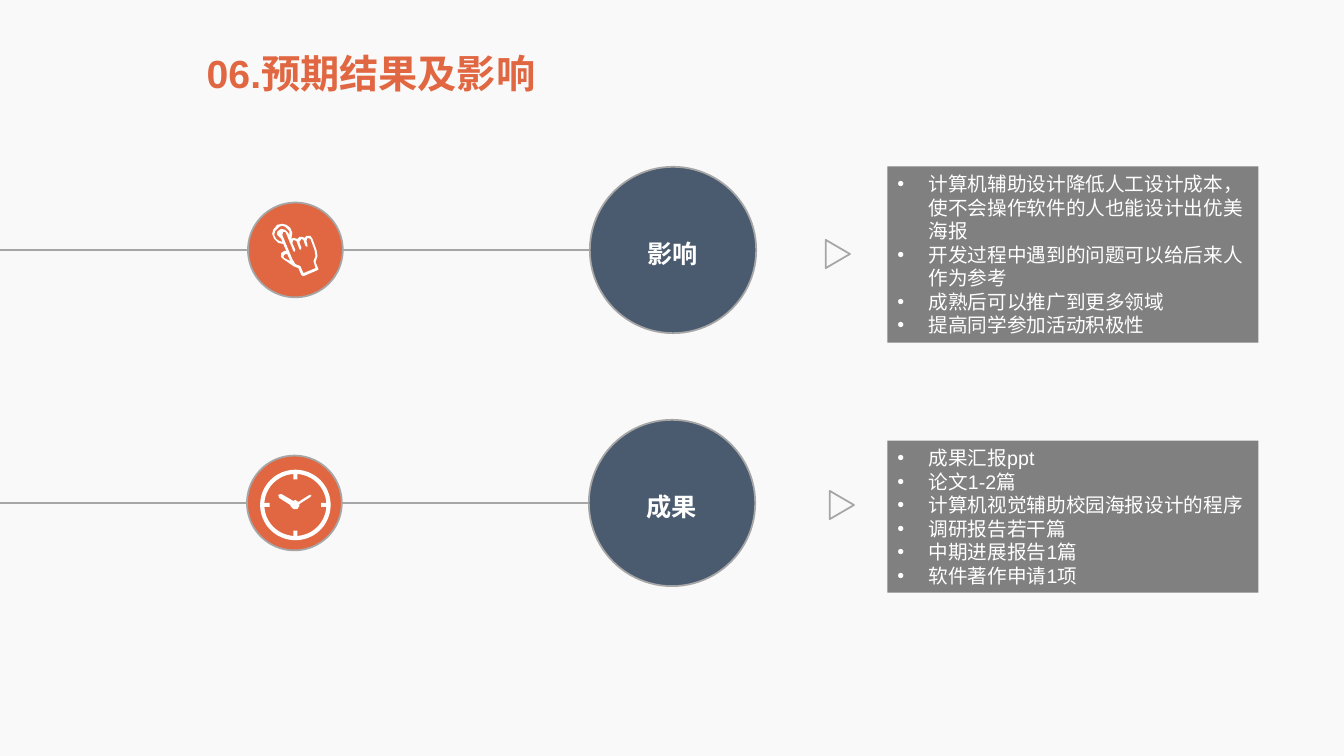
"""Build the slide on expected results and impact."""
from lxml.etree import SubElement as Sub
from pptx import Presentation
from pptx.dml.color import RGBColor as RGB
from pptx.enum.shapes import MSO_CONNECTOR as Link, MSO_SHAPE as Kind
from pptx.enum.text import MSO_ANCHOR as Anchor, MSO_AUTO_SIZE as Fit, PP_ALIGN as Align
from pptx.oxml.ns import qn
from pptx.util import Inches, Pt

HUES = {"back": "F9F9F9", "warm": "E06741", "navy": "4A5A6F",
        "line": "A6A6A6", "panel": "808080", "white": "FFFFFF"}
ROWS = [
    {"name": "影响", "mid": 2.48, "left": 5.85, "arrow": (8.17, 2.4),
     "top": 1.65, "high": 1.75,
     "items": ["计算机辅助设计降低人工设计成本，使不会操作软件的人也能设计出优美海报",
               "开发过程中遇到的问题可以给后来人作为参考",
               "成熟后可以推广到更多领域", "提高同学参加活动积极性"]},
    {"name": "成果", "mid": 4.99, "left": 5.84, "arrow": (8.21, 4.89),
     "top": 4.37, "high": 1.51,
     "items": ["成果汇报ppt", "论文1-2篇", "计算机视觉辅助校园海报设计的程序",
               "调研报告若干篇", "中期进展报告1篇", "软件著作申请1项"]},
]
HAND = [
    [(280, 222), (284, 223), (288, 226), (290, 231), (289, 237), (291, 236),
     (295, 237), (297, 235), (300, 235), (302, 236), (304, 234), (308, 234),
     (310, 237), (314, 248), (315, 254), (313, 260), (316, 267), (315, 268),
     (301, 274), (299, 273), (296, 266), (291, 264), (281, 257), (279, 255),
     (279, 251), (282, 249), (284, 249), (281, 242), (276, 241), (272, 237),
     (270, 232), (271, 228), (275, 223)],
    [(277, 225), (273, 229), (272, 233), (274, 237), (277, 239), (280, 240),
     (279, 237), (278, 236), (275, 233), (275, 230), (276, 229), (279, 227),
     (283, 228), (286, 231), (287, 234), (287, 229), (283, 225), (280, 224)],
    [(281, 230), (280, 233), (290, 257), (293, 262), (298, 264), (301, 271),
     (313, 266), (311, 259), (313, 254), (312, 248), (308, 237), (305, 236),
     (304, 239), (305, 243), (305, 245), (303, 244), (301, 238), (299, 237),
     (297, 240), (299, 246), (298, 248), (297, 247), (294, 239), (291, 238),
     (290, 241), (293, 248), (292, 250), (291, 249), (284, 232), (283, 230)],
    [(283, 252), (281, 254), (282, 256), (288, 259), (285, 252)],
]
HANDS = [[(279, 490), (291, 497), (293, 496), (296, 498), (307, 491),
          (309, 491), (308, 493), (297, 500), (297, 502), (295, 505),
          (291, 505), (288, 502), (288, 501), (277, 494), (276, 491)]]

deck = Presentation()
deck.slide_width, deck.slide_height = Inches(13.33), Inches(7.5)
slide = deck.slides.add_slide(deck.slide_layouts[3])
slide.background.fill.solid()
slide.background.fill.fore_color.rgb = RGB.from_string(HUES["back"])
shapes = slide.shapes


def paint(shape, fill=None, edge=None):
    """Set the fill and outline of a shape and drop its shadow."""
    shape.shadow.inherit = False
    if fill:
        shape.fill.solid()
        shape.fill.fore_color.rgb = RGB.from_string(HUES[fill])
    else:
        shape.fill.background()
    if edge:
        shape.line.color.rgb = RGB.from_string(HUES[edge])
        shape.line.width = Pt(1.25)
    else:
        shape.line.fill.background()


def style(para, size, hue, bold=False):
    """Set the font of a paragraph."""
    font = para.font
    font.name, font.size, font.bold = "Arial", Pt(size), bold
    font.color.rgb = RGB.from_string(HUES[hue])


title, *panels = slide.placeholders
title.left, title.top = Inches(1.95), Inches(0.44)
title.width, title.height = Inches(3.6), Inches(0.57)
title.text_frame.text = "06.预期结果及影响"
title.text_frame.word_wrap = False
head = title.text_frame.paragraphs[0]
head.alignment = Align.LEFT
style(head, 28, "warm", True)

for row, panel in zip(ROWS, panels):
    mid, left = row["mid"], row["left"]
    rule = shapes.add_connector(Link.STRAIGHT, 0, Inches(mid), Inches(6.67), Inches(mid))
    rule.line.color.rgb = RGB.from_string(HUES["line"])
    rule.line.width = Pt(1.25)
    Sub(rule._element.spPr, qn("a:effectLst"))

    for x, size, hue in [(left, 1.65, "navy"), (left - 3.39, 0.94, "warm")]:
        disc = shapes.add_shape(Kind.OVAL, Inches(x), Inches(mid - size / 2),
                                Inches(size), Inches(size))
        paint(disc, hue, "line")
        if hue == "navy":
            disc.text_frame.text = row["name"]
            label = disc.text_frame.paragraphs[0]
            label.alignment, label.line_spacing = Align.CENTER, 1.2
            style(label, 18, "white", True)

    x, y = row["arrow"]
    arrow = shapes.add_shape(Kind.ISOSCELES_TRIANGLE, Inches(x), Inches(y),
                             Inches(0.28), Inches(0.24))
    arrow.rotation = 90
    paint(arrow, edge="line")

    panel.left, panel.top = Inches(8.8), Inches(row["top"])
    panel.width, panel.height = Inches(3.68), Inches(row["high"])
    panel.fill.solid()
    panel.fill.fore_color.rgb = RGB.from_string(HUES["panel"])
    frame = panel.text_frame
    frame.text = "\n".join(row["items"])
    frame.auto_size, frame.vertical_anchor = Fit.NONE, Anchor.MIDDLE
    for para in frame.paragraphs:
        props = para._p.get_or_add_pPr()
        props.set("marL", str(Inches(0.31)))
        props.set("indent", str(Inches(-0.31)))
        Sub(props, qn("a:buChar")).set("char", "•")
        para.space_before = Pt(0)
        style(para, 14, "white")

for loops in (HAND, HANDS):
    pen = shapes.build_freeform(*loops[0][0], scale=Inches(0.01))
    for loop in loops:
        pen.move_to(*loop[0])
        pen.add_line_segments(loop[1:], close=True)
    paint(pen.convert_to_shape(), "white")

ring = shapes.add_shape(Kind.DONUT, Inches(2.58), Inches(4.66), Inches(0.7), Inches(0.7))
ring.adjustments[0] = 0.06
paint(ring, "white")
for dx, dy in [(0, -1), (1, 0), (0, 1), (-1, 0)]:
    wide, high = 0.04 + 0.05 * abs(dx), 0.04 + 0.05 * abs(dy)
    tick = shapes.add_shape(Kind.RECTANGLE, Inches(2.93 + 0.3 * dx - wide / 2),
                            Inches(5.01 + 0.3 * dy - high / 2), Inches(wide), Inches(high))
    paint(tick, "white")

deck.save("out.pptx")
